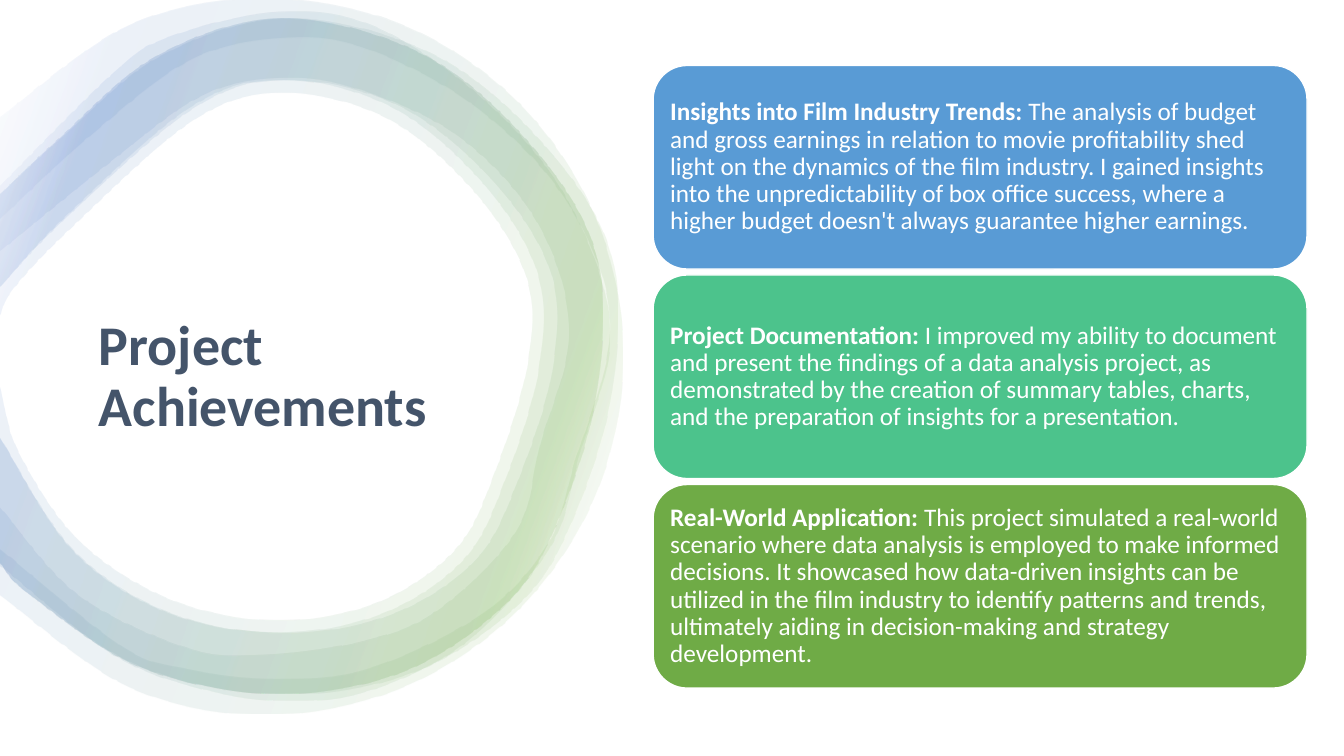
"""Build the Project Achievements slide with a layered ring and three cards."""
from dataclasses import dataclass

from lxml import etree
from pptx import Presentation
from pptx.dml.color import RGBColor
from pptx.enum import shapes, text
from pptx.oxml import ns
from pptx.util import Cm, Pt

Points = list[tuple[float, float]]

WHITE = RGBColor(0xFF, 0xFF, 0xFF)
SLATE = RGBColor(0x44, 0x54, 0x6A)
BLUE = RGBColor(0x59, 0x9B, 0xD5)
TEAL = RGBColor(0x4C, 0xC3, 0x8C)
GREEN = RGBColor(0x6F, 0xAB, 0x46)
RING_GREEN = RGBColor(0x70, 0xAD, 0x47)
RING_BLUE = RGBColor(0x44, 0x72, 0xC4)
RING_STOPS = [(0, WHITE), (2, WHITE), (16, RING_GREEN), (85, RING_BLUE), (100, WHITE)]
RING_ALPHA = 10
RING_ANGLE = 200
CM_PER_UNIT = 2.54
FONT = "Calibri"
CARD_LEFT, CARD_TOP, CARD_WIDTH, CARD_HEIGHT, CARD_PITCH = 16.46, 1.65, 16.48, 5.13, 5.28


@dataclass
class Ring:
    """Outer edge clockwise, inner edge back, both as smooth anchors."""
    outer: Points
    inner: Points
    stretch: float = 1.0


@dataclass
class Card:
    """Heading, body and fill of one card."""
    heading: str
    body: str
    fill: RGBColor


MAIN_OUTER = [
    (0, 1.92), (0.56, 1.39), (1.55, 0.55), (2.79, 0.18), (4.18, 0.53), (5.25, 1.42),
    (5.91, 2.52), (5.92, 3.86), (5.54, 5.14), (5.03, 5.97), (4, 6.66), (2.71, 6.88),
    (1.37, 6.61), (0.27, 5.88), (0, 5.58)]
MAIN_INNER = [
    (0, 4.34), (0.7, 5.44), (1.62, 6.06), (2.71, 6.27), (3.77, 6.09), (4.6, 5.54),
    (5.02, 4.72), (5.34, 3.65), (5.33, 2.72), (4.79, 1.82), (3.88, 1.06), (2.79, 0.79),
    (1.87, 1.07), (0.61, 2.18), (0, 2.84)]
TIGHT_INNER = [
    (0, 3.83), (0.18, 4.48), (0.78, 5.36), (1.68, 5.94), (2.71, 6.15), (3.72, 5.98),
    (4.51, 5.45), (4.9, 4.69), (5.23, 3.6), (5.22, 2.76), (4.7, 1.9), (3.83, 1.17),
    (2.79, 0.92), (1.9, 1.2), (0.69, 2.27), (0.13, 2.86), (0, 3.13)]
WAVY_OUTER = [
    (0, 1.84), (1.09, 0.75), (1.66, 0.37), (2.75, 0.12), (3.73, 0.27), (4.84, 1.03),
    (5.65, 2.03), (6.05, 3.29), (5.74, 4.52), (5.45, 5.43), (4.63, 6.36), (3.66, 6.85),
    (2.84, 6.95), (2.02, 6.84), (1.11, 6.49), (0, 5.61)]
WAVY_INNER = [
    (0, 5.03), (0.76, 5.89), (1.81, 6.41), (2.53, 6.49), (3.53, 6.37), (4.32, 6.06),
    (5.11, 5.27), (5.35, 4.41), (5.64, 3.29), (5.33, 2.22), (4.55, 1.36), (3.53, 0.88),
    (2.72, 0.78), (1.96, 0.97), (1.05, 1.64), (0, 2.49)]
ROUND_OUTER = [
    (0, 1.16), (1.28, 0.25), (2.63, -0.01), (3.99, 0.25), (5.14, 1.02), (5.91, 2.17),
    (6.18, 3.53), (5.91, 4.89), (5.14, 6.04), (3.99, 6.81), (2.63, 7.08), (1.28, 6.81),
    (0, 5.9)]
ROUND_INNER = [
    (0, 5.44), (1.2, 6.4), (1.87, 6.63), (2.73, 6.72), (3.66, 6.62), (4.78, 6.08),
    (5.42, 5.4), (5.68, 4.63), (6.05, 3.22), (5.63, 2.02), (4.75, 1.09), (3.67, 0.5),
    (2.84, 0.38), (1.9, 0.59), (0.9, 1.34), (0, 2.17)]
RINGS = [
    Ring(WAVY_OUTER, WAVY_INNER),
    Ring(MAIN_OUTER, MAIN_INNER, 1.025),
    Ring(MAIN_OUTER, TIGHT_INNER),
    Ring(MAIN_OUTER, MAIN_INNER),
    Ring(ROUND_OUTER, ROUND_INNER)]
CARDS = [
    Card("Insights into Film Industry Trends:",
         " The analysis of budget and gross earnings in relation to movie profitability shed "
         "light on the dynamics of the film industry. I gained insights into the "
         "unpredictability of box office success, where a higher budget doesn't always "
         "guarantee higher earnings.", BLUE),
    Card("Project Documentation:",
         " I improved my ability to document and present the findings of a data analysis "
         "project, as demonstrated by the creation of summary tables, charts, and the "
         "preparation of insights for a presentation.", TEAL),
    Card("Real-World Application:",
         " This project simulated a real-world scenario where data analysis is employed to "
         "make informed decisions. It showcased how data-driven insights can be utilized in "
         "the film industry to identify patterns and trends, ultimately aiding in "
         "decision-making and strategy development.", GREEN)]


def smooth_edge(nodes: list) -> None:
    """Turn the straight segments of one edge into Catmull-Rom curves."""
    anchors = [(int(node[0].get("x")), int(node[0].get("y"))) for node in nodes]
    padded = [anchors[0], *anchors, anchors[-1]]
    for node, a, b, c, d in zip(nodes[1:], padded, padded[1:], padded[2:], padded[3:]):
        node.tag = ns.qn("a:cubicBezTo")
        controls = [[q + (r - p) / 6 for p, q, r in zip(a, b, c)],
                    [r - (s - q) / 6 for q, r, s in zip(b, c, d)]]
        for i, (x, y) in enumerate(controls):
            node.insert(i, etree.Element(ns.qn("a:pt"), x=str(round(x)), y=str(round(y))))


def fill_ring(sp) -> None:
    """Give a ring its translucent gradient."""
    sp.fill.background()
    no_fill = sp._element.spPr.find(ns.qn("a:noFill"))
    grad = etree.Element(ns.qn("a:gradFill"), rotWithShape="1")
    stops = etree.SubElement(grad, ns.qn("a:gsLst"))
    for position, color in RING_STOPS:
        stop = etree.SubElement(stops, ns.qn("a:gs"), pos=str(position * 1000))
        clr = etree.SubElement(stop, ns.qn("a:srgbClr"), val=str(color))
        etree.SubElement(clr, ns.qn("a:alpha"), val=str(RING_ALPHA * 1000))
    etree.SubElement(grad, ns.qn("a:lin"), ang=str(RING_ANGLE * 60000), scaled="0")
    no_fill.getparent().replace(no_fill, grad)


def add_ring(s, ring: Ring) -> None:
    """Draw one ring layer, cut off at the left slide edge."""
    outline = [(Cm(x * ring.stretch * CM_PER_UNIT), Cm(y * CM_PER_UNIT))
               for x, y in ring.outer + ring.inner]
    builder = s.shapes.build_freeform(*outline[0])
    builder.add_line_segments(outline[1:], close=True)
    sp = builder.convert_to_shape()
    nodes = list(sp._element.iter(ns.qn("a:moveTo"), ns.qn("a:lnTo")))
    split = len(ring.outer)
    smooth_edge(nodes[:split])
    smooth_edge(nodes[split:len(outline)])
    sp.shadow.inherit = False
    sp.line.fill.background()
    fill_ring(sp)


def style_run(r, size: float, color: RGBColor, bold: bool) -> None:
    """Set the font of a run."""
    r.font.name, r.font.size, r.font.bold = FONT, Pt(size), bold
    r.font.color.rgb = color


def add_title(s, title: str) -> None:
    """Write the slide title inside the ring."""
    tf = s.shapes.add_textbox(Cm(2.24), Cm(5.61), Cm(10.16), Cm(7.82)).text_frame
    tf.word_wrap = True
    tf.vertical_anchor = text.MSO_ANCHOR.MIDDLE
    p = tf.paragraphs[0]
    p.text = title
    p.line_spacing = 0.9
    style_run(p.runs[0], 40, SLATE, True)


def add_card(s, card: Card, top: float) -> None:
    """Draw one rounded card with its text."""
    sp = s.shapes.add_shape(shapes.MSO_SHAPE.ROUNDED_RECTANGLE, Cm(CARD_LEFT), Cm(top),
                            Cm(CARD_WIDTH), Cm(CARD_HEIGHT))
    sp.shadow.inherit = False
    sp.fill.solid()
    sp.fill.fore_color.rgb = card.fill
    sp.line.color.rgb = WHITE
    sp.line.width = Pt(1)
    tf = sp.text_frame
    tf.word_wrap = True
    tf.vertical_anchor = text.MSO_ANCHOR.MIDDLE
    tf.margin_left = tf.margin_right = tf.margin_top = tf.margin_bottom = Cm(0.18)
    p = tf.paragraphs[0]
    p.alignment = text.PP_ALIGN.LEFT
    p.line_spacing = 0.9
    for words, bold in ((card.heading, True), (card.body, False)):
        r = p.add_run()
        r.text = words
        style_run(r, 18, WHITE, bold)


def main() -> None:
    """Build and save the slide."""
    prs = Presentation()
    prs.slide_width, prs.slide_height = Cm(33.87), Cm(19.05)
    s = prs.slides.add_slide(prs.slide_layouts[6])
    for ring in RINGS:
        add_ring(s, ring)
    add_title(s, "Project Achievements")
    for i, card in enumerate(CARDS):
        add_card(s, card, CARD_TOP + i * CARD_PITCH)
    prs.save("out.pptx")


if __name__ == "__main__":
    main()
